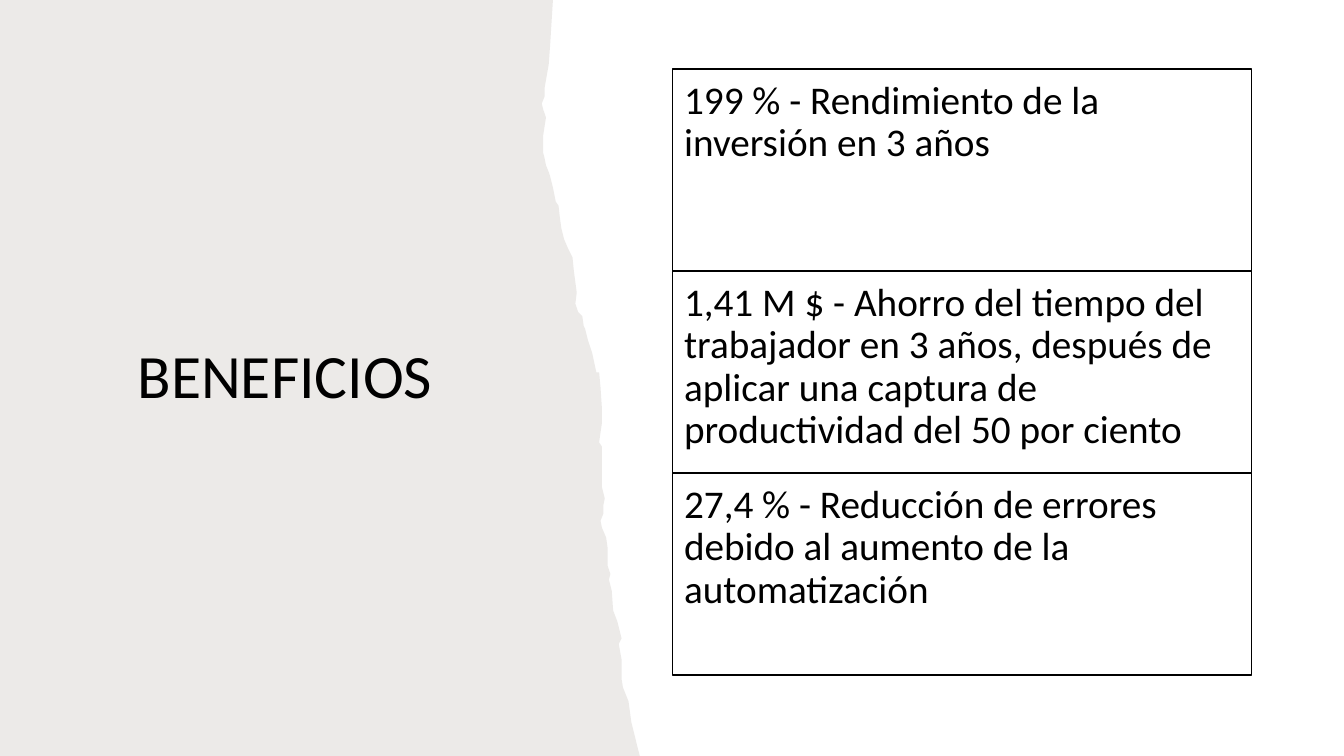
from lxml.etree import SubElement
from pptx import Presentation
from pptx.dml.color import RGBColor
from pptx.enum.shapes import MSO_SHAPE
from pptx.enum.text import MSO_ANCHOR, MSO_AUTO_SIZE, PP_ALIGN
from pptx.oxml.ns import qn
from pptx.util import Pt

COLORS = {"text": "000000", "card": "FFFFFF", "border": "000000", "paper": "82766A"}
PAPER_OPACITY = 15

TORN_EDGE = [
    (395.3, 0), (393.8, 15.8), (393.1, 32.4), (391.7, 46.1), (388.8, 63.4),
    (388.8, 69.1), (387.4, 74.2), (388.1, 78.5), (389.5, 84.2), (388.1, 97.2),
    (388.1, 108.7), (388.8, 113), (389.5, 118.1), (391.7, 123.1), (393.1, 126),
    (395.3, 133.9), (396.7, 144), (398.9, 146.9), (399.6, 156.2), (401, 162.7),
    (403.2, 171.4), (406.1, 177.8), (409, 183.6), (409.7, 193.7), (411.8, 208.8),
    (411.1, 217.4), (413.3, 223.2), (416.2, 226.1), (416.9, 233.3), (418.3, 235.4),
    (420.5, 243.4), (422.6, 252), (426.2, 265.7), (427.7, 266.4), (429.1, 277.2),
    (429.8, 291.6), (429.8, 302.4), (428.4, 316.1), (429.8, 319), (429.8, 348.5),
    (432, 355.7), (431.3, 361.4), (430.6, 367.2), (429.1, 371.5), (429.8, 377.3),
    (432.7, 384.5), (434.2, 391), (434.2, 403.9), (435.6, 409.7), (434.9, 414),
    (437, 421.9), (438.5, 436.3), (440.6, 444.2), (443.5, 456.5), (442.1, 460.1),
    (443.5, 470.9), (444.2, 485.3), (445, 491), (448.6, 501.1), (450.7, 516.2),
    (455.8, 536.4), (457.2, 540),
]

BENEFITS = [
    "199 % - Rendimiento de la inversión en 3 años",
    "1,41 M $ - Ahorro del tiempo del trabajador en 3 años, después de "
    "aplicar una captura de productividad del 50 por ciento",
    "27,4 % - Reducción de errores debido al aumento de la automatización",
]
CARD_LEFT, CARD_TOP = 480.3, 49.2
CARD_WIDTH, CARD_HEIGHT = 413.8, 144.3


class SlideBuilder:
    def __init__(self, page, font="Calibri"):
        self.page = page
        self.font = font

    def color(self, name):
        return RGBColor.from_string(COLORS[name])

    def set_text(self, shape, text, size, align, anchor):
        frame = shape.text_frame
        frame.word_wrap = True
        frame.auto_size = MSO_AUTO_SIZE.NONE
        frame.vertical_anchor = anchor
        para = frame.paragraphs[0]
        para.text = text
        para.alignment = align
        para.line_spacing = 0.9
        para.font.name = self.font
        para.font.size = Pt(size)
        para.font.color.rgb = self.color("text")
        return frame

    def title(self, text, left, top, width, height):
        title = self.page.shapes.title
        title.left, title.top = Pt(left), Pt(top)
        title.width, title.height = Pt(width), Pt(height)
        self.set_text(title, text, 44, PP_ALIGN.CENTER, MSO_ANCHOR.BOTTOM)

    def torn_paper(self, edge, height):
        outline = self.page.shapes.build_freeform(0, 0, scale=Pt(1))
        outline.add_line_segments(edge + [(0, height)], close=True)
        paper = outline.convert_to_shape()
        paper.shadow.inherit = False
        paper.line.fill.background()
        paper.fill.solid()
        paper.fill.fore_color.rgb = self.color("paper")
        tint = paper.element.spPr.find(qn("a:solidFill")).find(qn("a:srgbClr"))
        SubElement(tint, qn("a:alpha")).set("val", str(PAPER_OPACITY * 1000))
        self.page.shapes.title.element.addprevious(paper.element)

    def card(self, text, left, top, width, height):
        box = self.page.shapes.add_shape(
            MSO_SHAPE.RECTANGLE, Pt(left), Pt(top), Pt(width), Pt(height))
        box.shadow.inherit = False
        box.fill.solid()
        box.fill.fore_color.rgb = self.color("card")
        box.line.color.rgb = self.color("border")
        box.line.width = Pt(1)
        frame = self.set_text(box, text, 28, PP_ALIGN.LEFT, MSO_ANCHOR.TOP)
        frame.margin_left = frame.margin_right = Pt(8.4)
        frame.margin_top = frame.margin_bottom = Pt(8.4)


def main():
    deck = Presentation()
    deck.slide_width, deck.slide_height = Pt(960), Pt(540)
    page = deck.slides.add_slide(deck.slide_layouts[5])
    builder = SlideBuilder(page)
    builder.torn_paper(TORN_EDGE, 540)
    builder.title("BENEFICIOS", 61.2, 77.8, 285.1, 220.3)
    for row, benefit in enumerate(BENEFITS):
        builder.card(benefit, CARD_LEFT, CARD_TOP + row * CARD_HEIGHT,
                     CARD_WIDTH, CARD_HEIGHT)
    deck.save("out.pptx")


if __name__ == "__main__":
    main()
